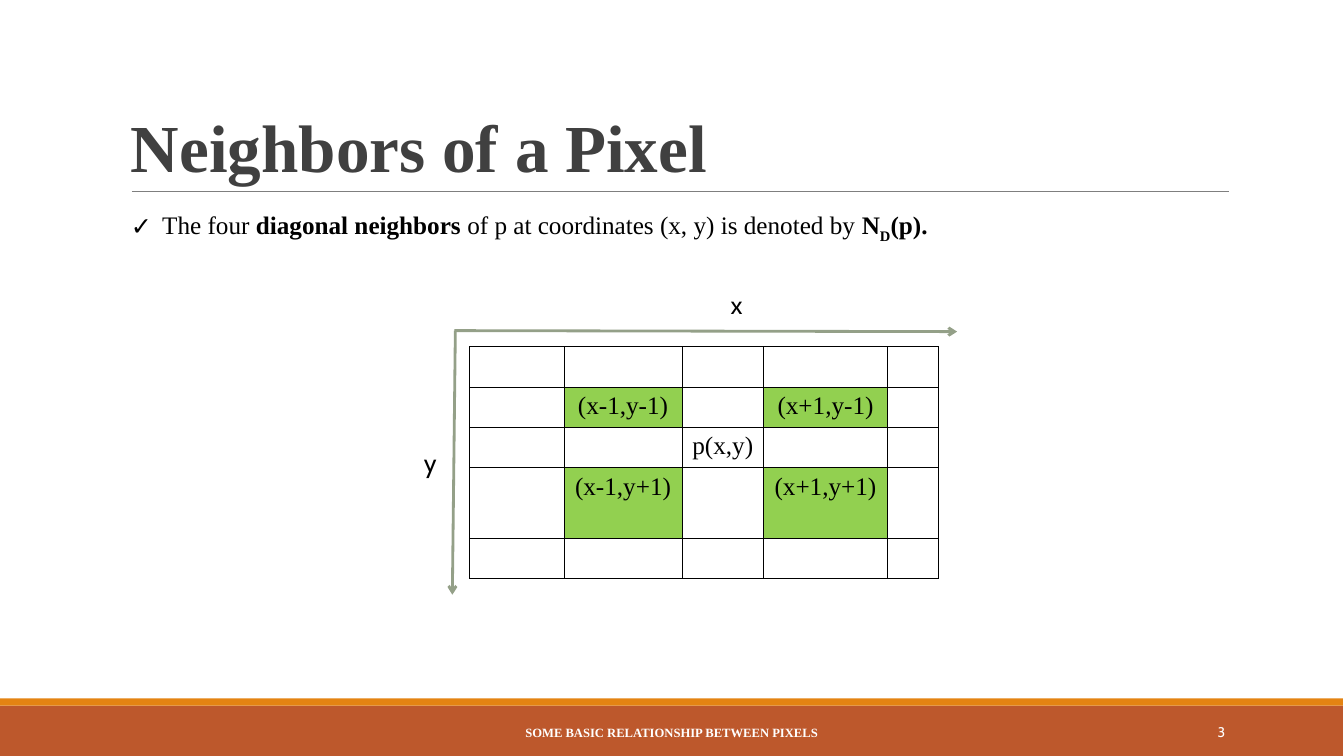
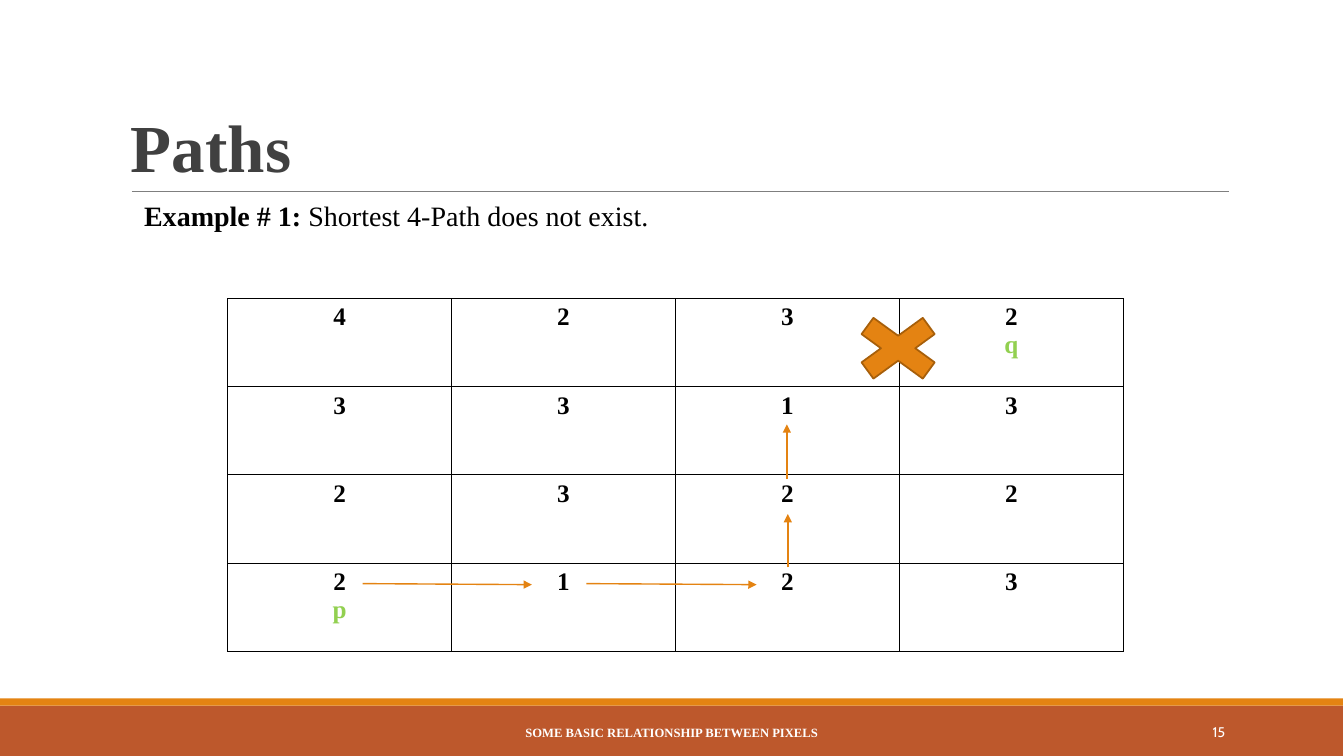
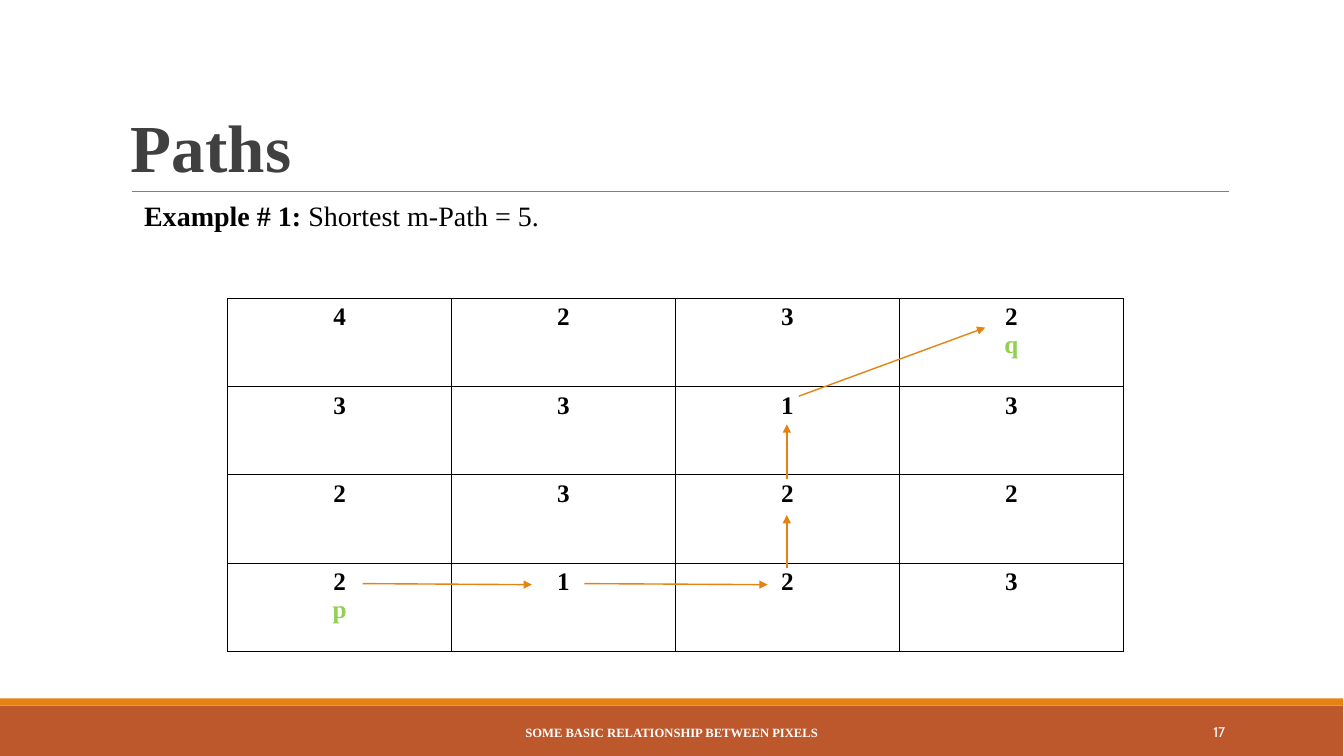
from lxml.etree import SubElement
from pptx import Presentation
from pptx.dml.color import RGBColor
from pptx.enum.shapes import MSO_CONNECTOR, MSO_SHAPE
from pptx.enum.text import MSO_ANCHOR, MSO_AUTO_SIZE, PP_ALIGN
from pptx.oxml.ns import qn
from pptx.util import Inches, Pt

BLACK = RGBColor(0x00, 0x00, 0x00)
WHITE = RGBColor(0xFF, 0xFF, 0xFF)
CHARCOAL = RGBColor(0x40, 0x40, 0x40)
GRAY = RGBColor(0x7F, 0x7F, 0x7F)
RUST = RGBColor(0xBD, 0x58, 0x2C)
ORANGE = RGBColor(0xE4, 0x83, 0x12)
BROWN = RGBColor(0xA7, 0x5F, 0x0A)
SAGE = RGBColor(0x94, 0xA0, 0x88)
GREEN = RGBColor(0x92, 0xD0, 0x50)

SERIF = "Times New Roman"
SANS = "Cabin"
FOOTER = "SOME BASIC RELATIONSHIP BETWEEN PIXELS"

NEIGHBORS = [
    ["", "", "", "", ""],
    ["", "(x-1,y-1)", "", "(x+1,y-1)", ""],
    ["", "", "p(x,y)", "", ""],
    ["", "(x-1,y+1)", "", "(x+1,y+1)", ""],
    ["", "", "", "", ""],
]
PIXELS = [
    ["4", "2", "3", "2\nq"],
    ["3", "3", "1", "3"],
    ["2", "3", "2", "2"],
    ["2\np", "1", "2", "3"],
]


class Deck:
    def __init__(self):
        self.prs = Presentation()
        self.prs.slide_width = Inches(13.34)
        self.prs.slide_height = Inches(7.5)
        self.s = None

    def slide(self, title, number):
        self.s = self.prs.slides.add_slide(self.prs.slide_layouts[1])
        self.shape(MSO_SHAPE.RECTANGLE, (0, 7, 13.33, 0.5), RUST)
        self.shape(MSO_SHAPE.RECTANGLE, (0, 6.93, 13.33, 0.07), ORANGE)
        self.line((1.31, 1.9), (12.2, 1.9), GRAY, 0.5)
        sp = self.place(self.s.shapes.title, (1.2, 0.31, 11, 1.59))
        tf = sp.text_frame
        tf.vertical_anchor = MSO_ANCHOR.BOTTOM
        p = tf.paragraphs[0]
        p.alignment = PP_ALIGN.LEFT
        p.line_spacing = 0.85
        self.run(p, title, 48, CHARCOAL, bold=True)
        self.text(str(number), (10.83, 7.06, 1.43, 0.4), 10, WHITE, SANS,
                  align=PP_ALIGN.RIGHT, anchor=MSO_ANCHOR.MIDDLE)
        self.text(FOOTER, (4.03, 7.07, 5.27, 0.4), 9, WHITE, bold=True,
                  anchor=MSO_ANCHOR.MIDDLE)

    def place(self, sp, box):
        sp.left, sp.top, sp.width, sp.height = map(Inches, box)
        sp.text_frame.word_wrap = True
        sp.text_frame.auto_size = MSO_AUTO_SIZE.NONE
        return sp

    def run(self, p, text, size, color, font=SERIF, bold=False):
        r = p.add_run()
        r.text = text
        r.font.size = Pt(size)
        r.font.name = font
        r.font.bold = bold
        r.font.color.rgb = color
        return r

    def text(self, text, box, size, color, font=SERIF, bold=False,
             align=PP_ALIGN.CENTER, anchor=MSO_ANCHOR.TOP):
        sp = self.place(self.s.shapes.add_textbox(0, 0, 0, 0), box)
        sp.text_frame.vertical_anchor = anchor
        p = sp.text_frame.paragraphs[0]
        p.alignment = align
        self.run(p, text, size, color, font, bold)

    def body(self, parts, box, size, bullet=None):
        sp = self.place(self.s.placeholders[1], box)
        p = sp.text_frame.paragraphs[0]
        p.space_before = Pt(0)
        pPr = p._p.get_or_add_pPr()
        indent = Inches(0.31) if bullet else 0
        pPr.set("marL", str(indent))
        pPr.set("indent", str(-indent))
        if bullet:
            SubElement(pPr, qn("a:buChar")).set("char", bullet)
        else:
            SubElement(pPr, qn("a:buNone"))
        for text, bold, baseline in parts:
            r = self.run(p, text, size, BLACK, bold=bold)
            if baseline:
                r._r.get_or_add_rPr().set("baseline", str(baseline * 1000))

    def shape(self, kind, box, fill, outline=None):
        sp = self.s.shapes.add_shape(kind, *map(Inches, box))
        sp.shadow.inherit = False
        sp.fill.solid()
        sp.fill.fore_color.rgb = fill
        if outline:
            sp.line.color.rgb = outline
            sp.line.width = Pt(1.25)
        else:
            sp.line.fill.background()

    def line(self, start, end, color, width, head=None):
        c = self.s.shapes.add_connector(MSO_CONNECTOR.STRAIGHT,
                                        *map(Inches, start + end))
        c.line.color.rgb = color
        c.line.width = Pt(width)
        if head:
            SubElement(c.line._get_or_add_ln(), qn("a:tailEnd")).set("type", head)
        SubElement(c._element.spPr, qn("a:effectLst"))

    def border(self, cell):
        tcPr = cell._tc.get_or_add_tcPr()
        for side in ("lnL", "lnR", "lnT", "lnB"):
            ln = SubElement(tcPr, qn(f"a:{side}"))
            ln.set("w", str(Pt(0.45)))
            fill = SubElement(ln, qn("a:solidFill"))
            SubElement(fill, qn("a:srgbClr")).set("val", str(BLACK))

    def table(self, rows, left, top, widths, heights, bold=False):
        frame = self.s.shapes.add_table(
            len(rows), len(widths), Inches(left), Inches(top),
            Inches(sum(widths)), Inches(sum(heights)))
        tbl = frame.table
        tbl.first_row = tbl.horz_banding = False
        for col, width in zip(tbl.columns, widths):
            col.width = Inches(width)
        for row, height, texts in zip(tbl.rows, heights, rows):
            row.height = Inches(height)
            for cell, text in zip(row.cells, texts):
                self.border(cell)
                cell.fill.solid()
                cell.fill.fore_color.rgb = GREEN if text.startswith("(") else WHITE
                cell.text_frame.text = text
                for i, p in enumerate(cell.text_frame.paragraphs):
                    p.alignment = PP_ALIGN.CENTER
                    for r in p.runs:
                        r.font.size = Pt(18)
                        r.font.name = SERIF
                        r.font.bold = bold
                        r.font.color.rgb = GREEN if i else BLACK
                    if not p.runs:
                        mark = SubElement(p._p, qn("a:endParaRPr"))
                        mark.set("sz", "1800")
                        SubElement(mark, qn("a:latin")).set("typeface", SERIF)

    def path_slide(self, number, result, steps):
        self.slide("Paths", number)
        self.body([("Example # 1: ", True, 0), (result, False, 0)],
                  (1.33, 1.92, 10.87, 0.77), 20)
        self.table(PIXELS, 2.26, 2.96, [8.89 / 4] * 4, [3.5 / 4] * 4, bold=True)
        for start, end in steps:
            self.line(start, end, ORANGE, 1, "triangle")


def main():
    deck = Deck()

    deck.slide("Neighbors of a Pixel", 3)
    deck.body([("The four ", False, 0), ("diagonal neighbors", True, 0),
               (" of p at coordinates (x, y) is denoted by ", False, 0),
               ("N", True, 0), ("D", True, -25), ("(p).", True, 0)],
              (1.2, 2.03, 8.53, 0.44), 18, bullet="✓")
    deck.table(NEIGHBORS, 4.66, 3.44, [0.94, 1.17, 0.81, 1.23, 0.5],
               [0.4, 0.4, 0.4, 0.7, 0.4])
    deck.line((4.51, 3.28), (9.5, 3.29), SAGE, 2, "arrow")
    deck.line((4.52, 3.28), (4.49, 5.9), SAGE, 2, "arrow")
    deck.text("x", (7.07, 2.82, 0.48, 0.4), 18, BLACK, SANS)
    deck.text("y", (4.03, 4.39, 0.48, 0.4), 18, BLACK, SANS)

    first_step = ((3.6, 5.79), (5.28, 5.8))
    last_up = ((7.81, 4.75), (7.81, 4.21))
    deck.path_slide(15, "Shortest 4-Path does not exist.", [
        first_step, ((5.82, 5.79), (7.51, 5.8)),
        ((7.82, 5.63), (7.82, 5.1)), last_up])
    deck.shape(MSO_SHAPE.MATH_MULTIPLY, (8.33, 3.03, 1.17, 0.85), ORANGE, BROWN)

    deck.path_slide(17, "Shortest m-Path = 5.", [
        first_step, ((5.8, 5.79), (7.62, 5.8)),
        ((7.81, 5.64), (7.81, 5.11)), last_up, ((7.93, 3.93), (9.78, 3.25))])

    deck.prs.save("out.pptx")


if __name__ == "__main__":
    main()
